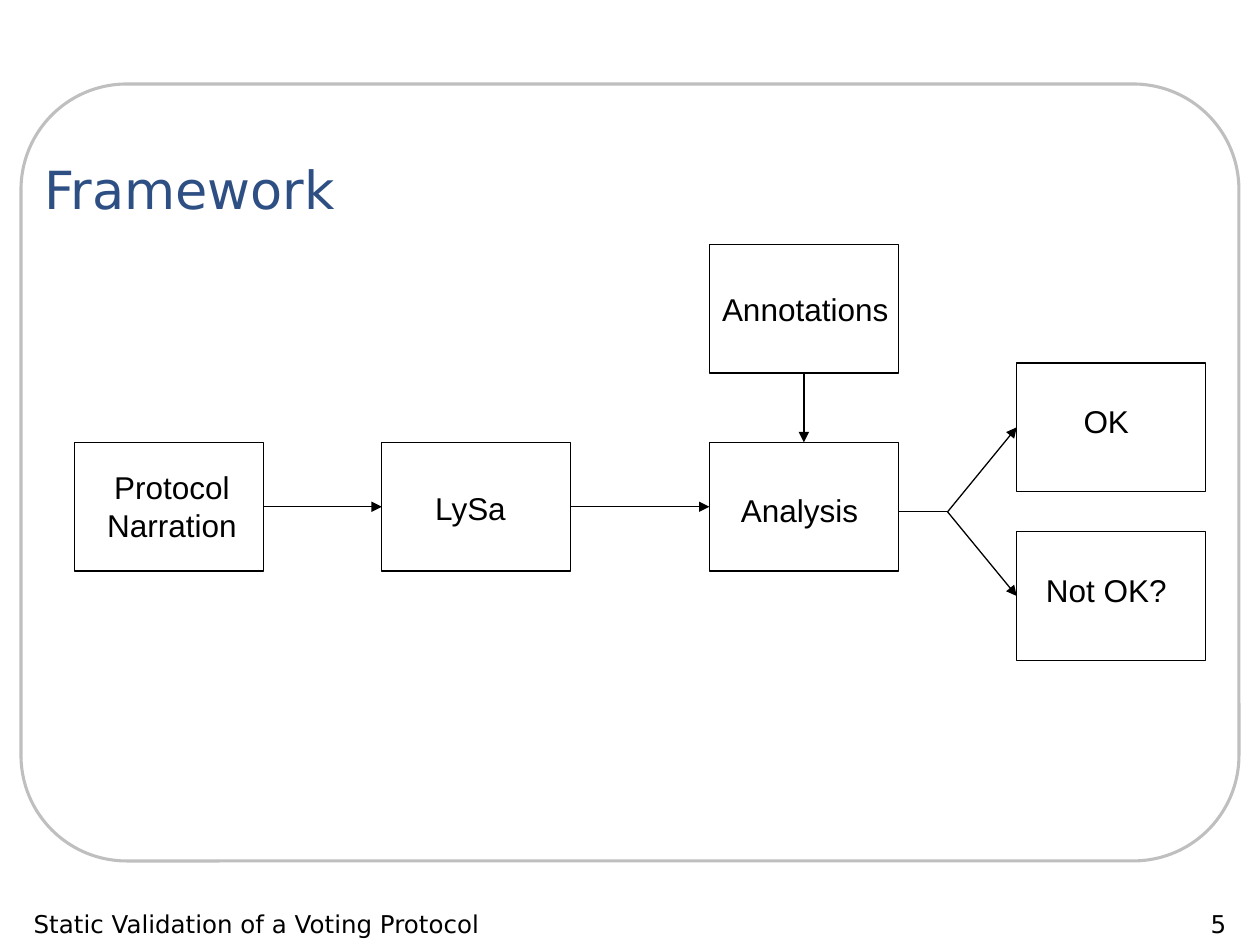
from lxml import etree
from pptx import Presentation
from pptx.dml.color import RGBColor
from pptx.enum import shapes, text
from pptx.oxml.ns import qn
from pptx.util import Pt

COLORS = {"title": "2E4F83", "ink": "000000", "frame": "BFBFBF"}
SANS, ARIAL = "DejaVu Sans", "Arial"
TITLE = "Framework"
FOOTER = [  # text, left, width, alignment
    ("Static Validation of a Voting Protocol", 12.2, 388, text.PP_ALIGN.LEFT),
    ("5", 399.6, 308.2, text.PP_ALIGN.RIGHT),
]
BOX_W, BOX_H = 108, 73.6
BOXES = {  # name: (left, top)
    "ok": (581, 207.4),
    "protocol": (42.5, 252.8),
    "lysa": (218.2, 252.8),
    "annotations": (405.4, 139.6),
    "analysis": (405.4, 252.8),
    "not ok": (581, 303.8),
}
LABELS = [  # lines, left, top, width, height
    (["Protocol", "Narration"], 54, 264.2, 88.6, 50.4),
    (["LySa"], 241.2, 275.8, 55.4, 28.8),
    (["Annotations"], 405.4, 162, 109.4, 28.8),
    (["Analysis"], 416.2, 277.2, 81.4, 28.8),
    (["OK"], 612, 226.1, 40.3, 28.8),
    (["Not OK?"], 590.4, 322.6, 83.5, 28.8),
]
TOP, LEFT, BOTTOM, RIGHT = range(4)  # connection sites of a rectangle
FLOWS = [
    ("protocol", RIGHT, "lysa", LEFT),
    ("lysa", RIGHT, "analysis", LEFT),
    ("annotations", BOTTOM, "analysis", TOP),
]
FORK = (541.5, 292.5)


def rgb(name):
    return RGBColor.from_string(COLORS[name])


def write(tf, lines, size, font, color, align):
    tf.margin_left = tf.margin_right = Pt(7.2)
    tf.margin_top = tf.margin_bottom = Pt(3.6)
    for i, line in enumerate(lines):
        p = tf.paragraphs[0] if i == 0 else tf.add_paragraph()
        p.alignment = align
        r = p.add_run()
        r.text = line
        r.font.size, r.font.name = Pt(size), font
        r.font.color.rgb = rgb(color)


def add_outline(s, kind, box, color, width):
    sp = s.shapes.add_shape(kind, *map(Pt, box))
    sp.shadow.inherit = False
    sp.fill.background()
    sp.line.color.rgb = rgb(color)
    sp.line.width = Pt(width)
    return sp


def add_line(s, start, end, arrow=True):
    cn = s.shapes.add_connector(shapes.MSO_CONNECTOR.STRAIGHT, *map(Pt, start + end))
    cn.line.color.rgb = rgb("ink")
    cn.line.width = Pt(0.75)
    if arrow:
        etree.SubElement(cn.line._get_or_add_ln(), qn("a:tailEnd"), type="triangle")
    etree.SubElement(cn._element.spPr, qn("a:effectLst"))
    return cn


def main():
    prs = Presentation()
    prs.slide_width, prs.slide_height = Pt(720), Pt(540)
    s = prs.slides.add_slide(prs.slide_layouts[5])

    frame = add_outline(s, shapes.MSO_SHAPE.ROUNDED_RECTANGLE,
                        (12, 48, 696, 444), "frame", 1.75)
    frame.adjustments[0] = 0.136

    title = s.shapes.title
    title.left, title.top, title.width, title.height = map(Pt, (18, 72, 684, 72))
    tf = title.text_frame
    tf.auto_size = text.MSO_AUTO_SIZE.NONE
    tf.vertical_anchor = text.MSO_ANCHOR.MIDDLE
    write(tf, [TITLE], 30, SANS, "title", text.PP_ALIGN.LEFT)

    boxes = {name: add_outline(s, shapes.MSO_SHAPE.RECTANGLE,
                               (x, y, BOX_W, BOX_H), "ink", 0.75)
             for name, (x, y) in BOXES.items()}

    for source, out_site, target, in_site in FLOWS:
        cn = add_line(s, (0, 0), (0, 0))
        cn.begin_connect(boxes[source], out_site)
        cn.end_connect(boxes[target], in_site)

    add_line(s, (BOXES["analysis"][0] + BOX_W, FORK[1]), FORK, arrow=False)
    for outcome in ("ok", "not ok"):
        add_line(s, FORK, FORK).end_connect(boxes[outcome], LEFT)

    for lines, *box in LABELS:
        tf = s.shapes.add_textbox(*map(Pt, box)).text_frame
        tf.word_wrap = False
        tf.auto_size = text.MSO_AUTO_SIZE.SHAPE_TO_FIT_TEXT
        write(tf, lines, 18, ARIAL, "ink", text.PP_ALIGN.CENTER)

    for line, x, w, align in FOOTER:
        tf = s.shapes.add_textbox(*map(Pt, (x, 516.2, w, 23.8))).text_frame
        tf.word_wrap = True
        write(tf, [line], 14, SANS, "ink", align)

    prs.save("out.pptx")


if __name__ == "__main__":
    main()
